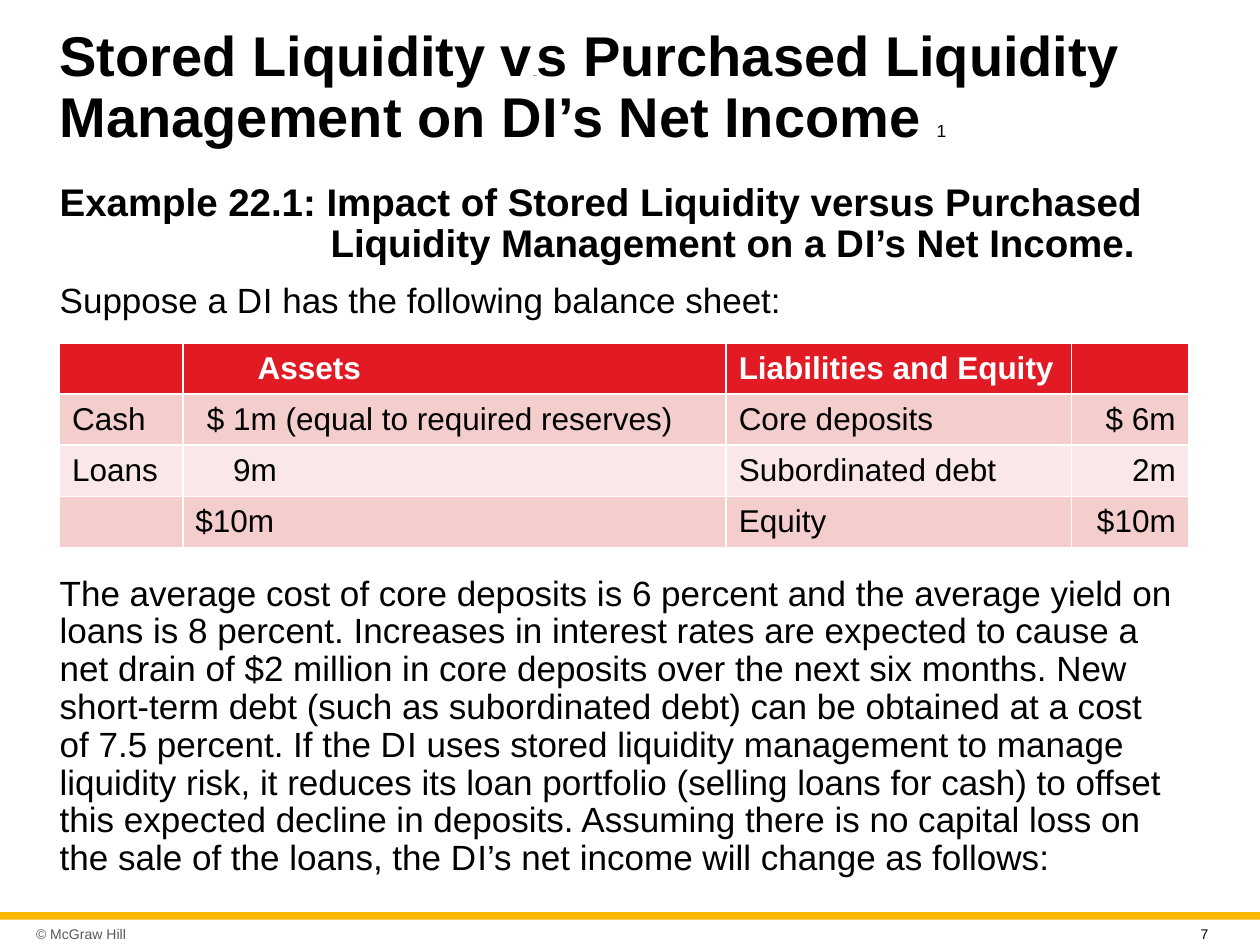
from pptx import Presentation
from pptx.dml.color import RGBColor
from pptx.enum.shapes import MSO_SHAPE
from pptx.enum.text import MSO_ANCHOR, PP_ALIGN
from pptx.util import Pt

FONT = "Arial"
BLACK = RGBColor(0x00, 0x00, 0x00)
WHITE = RGBColor(0xFF, 0xFF, 0xFF)
GRAY = RGBColor(0x59, 0x59, 0x59)
GOLD = RGBColor(0xFF, 0xB6, 0x00)
RED = RGBColor(0xE2, 0x1A, 0x23)
PINK = RGBColor(0xF4, 0xCD, 0xCD)
PALE_PINK = RGBColor(0xFA, 0xE8, 0xE8)

THIN_SPACE = (" ", 1)

COLUMN_WIDTHS = (70.5, 310.5, 197.3, 66.8)
ROW_HEIGHT = 29.2
BALANCE_SHEET = (
    ("", "Assets", "Liabilities and Equity", ""),
    ("Cash", "$ 1m (equal to required reserves)", "Core deposits", "$ 6m"),
    ("Loans", "9m", "Subordinated debt", "2m"),
    ("", "$10m", "Equity", "$10m"),
)
ROW_FILLS = (RED, PINK, PALE_PINK, PINK)
ASSET_INDENTS = (35.5, 6.5, 21.5, 0)


def add_span(para, text, size, color=BLACK, bold=False):
    span = para.add_run()
    span.text = text
    span.font.name = FONT
    span.font.size = Pt(size)
    span.font.bold = bold
    span.font.color.rgb = color


def set_indent(para, left, first_line=0):
    properties = para._p.get_or_add_pPr()
    properties.set("marL", str(Pt(left)))
    properties.set("indent", str(Pt(first_line)))


def add_text(slide, left, top, width, height, paragraphs, color=BLACK,
             bold=False, anchor=MSO_ANCHOR.TOP, spacing=0.9, inset=None):
    """Add a text box; each paragraph is a list of (text, size[, bold]) spans."""
    box = slide.shapes.add_textbox(Pt(left), Pt(top), Pt(width), Pt(height))
    frame = box.text_frame
    frame.word_wrap = True
    frame.vertical_anchor = anchor
    if inset is not None:
        frame.margin_left = frame.margin_right = Pt(inset)
    for index, spans in enumerate(paragraphs):
        para = frame.paragraphs[0] if index == 0 else frame.add_paragraph()
        para.line_spacing = spacing
        if index:
            para.space_before = Pt(10)
        for text, size, *weight in spans:
            add_span(para, text, size, color, weight[0] if weight else bold)
    return box


def add_balance_sheet(slide):
    table = slide.shapes.add_table(
        len(BALANCE_SHEET), len(COLUMN_WIDTHS), Pt(34), Pt(196),
        Pt(sum(COLUMN_WIDTHS)), Pt(ROW_HEIGHT * len(BALANCE_SHEET))).table
    for column, width in zip(table.columns, COLUMN_WIDTHS):
        column.width = Pt(width)
    for row_index, values in enumerate(BALANCE_SHEET):
        header = row_index == 0
        table.rows[row_index].height = Pt(ROW_HEIGHT)
        for column_index, value in enumerate(values):
            cell = table.cell(row_index, column_index)
            cell.fill.solid()
            cell.fill.fore_color.rgb = ROW_FILLS[row_index]
            cell.vertical_anchor = MSO_ANCHOR.MIDDLE
            para = cell.text_frame.paragraphs[0]
            if column_index == 1:
                set_indent(para, ASSET_INDENTS[row_index])
            elif column_index == 3:
                para.alignment = PP_ALIGN.RIGHT
            if value:
                add_span(para, value, 18, WHITE if header else BLACK, header)


def add_footer(slide):
    bar = slide.shapes.add_shape(MSO_SHAPE.RECTANGLE, Pt(0), Pt(521.3), Pt(720), Pt(4.3))
    bar.shadow.inherit = False
    bar.fill.solid()
    bar.fill.fore_color.rgb = GOLD
    bar.line.fill.background()
    add_text(slide, 17, 525, 97, 17, [[("© McGraw Hill", 8)]], GRAY,
             anchor=MSO_ANCHOR.MIDDLE, spacing=1, inset=3.6)
    add_text(slide, 679, 525.6, 28, 13, [[("7", 8)]], spacing=1)


def main():
    deck = Presentation()
    deck.slide_width, deck.slide_height = Pt(720), Pt(540)
    slide = deck.slides.add_slide(deck.slide_layouts[6])

    add_footer(slide)
    add_text(slide, 27, 15, 666, 71.5, [[
        ("Stored Liquidity v", 32), ("ersu", 1),
        ("s Purchased Liquidity Management on D", 32), THIN_SPACE,
        ("I’s Net Income ", 32), ("1", 10, False),
    ]], bold=True, anchor=MSO_ANCHOR.MIDDLE)

    example = add_text(slide, 27, 101, 652, 87, [
        [("Example 22.1: Impact of Stored Liquidity versus Purchased "
          "Liquidity Management on a D", 22, True), (*THIN_SPACE, True),
         ("I’s Net Income.", 22, True)],
        [("Suppose a D", 20), THIN_SPACE,
         ("I has the following balance sheet:", 20)],
    ])
    set_indent(example.text_frame.paragraphs[0], 154.8, -154.8)

    add_balance_sheet(slide)
    add_text(slide, 27, 325.5, 652, 184, [[
        ("The average cost of core deposits is 6 percent and the average yield on "
         "loans is 8 percent. Increases in interest rates are expected to cause a "
         "net drain of $2 million in core deposits over the next six months. New "
         "short-term debt (such as subordinated debt) can be obtained at a cost "
         "of 7.5 percent. If the D", 20), THIN_SPACE,
        ("I uses stored liquidity management to manage liquidity risk, it reduces "
         "its loan portfolio (selling loans for cash) to offset this expected "
         "decline in deposits. Assuming there is no capital loss on the sale of "
         "the loans, the D", 20), THIN_SPACE,
        ("I’s net income will change as follows:", 20),
    ]])
    deck.save("out.pptx")


if __name__ == "__main__":
    main()
